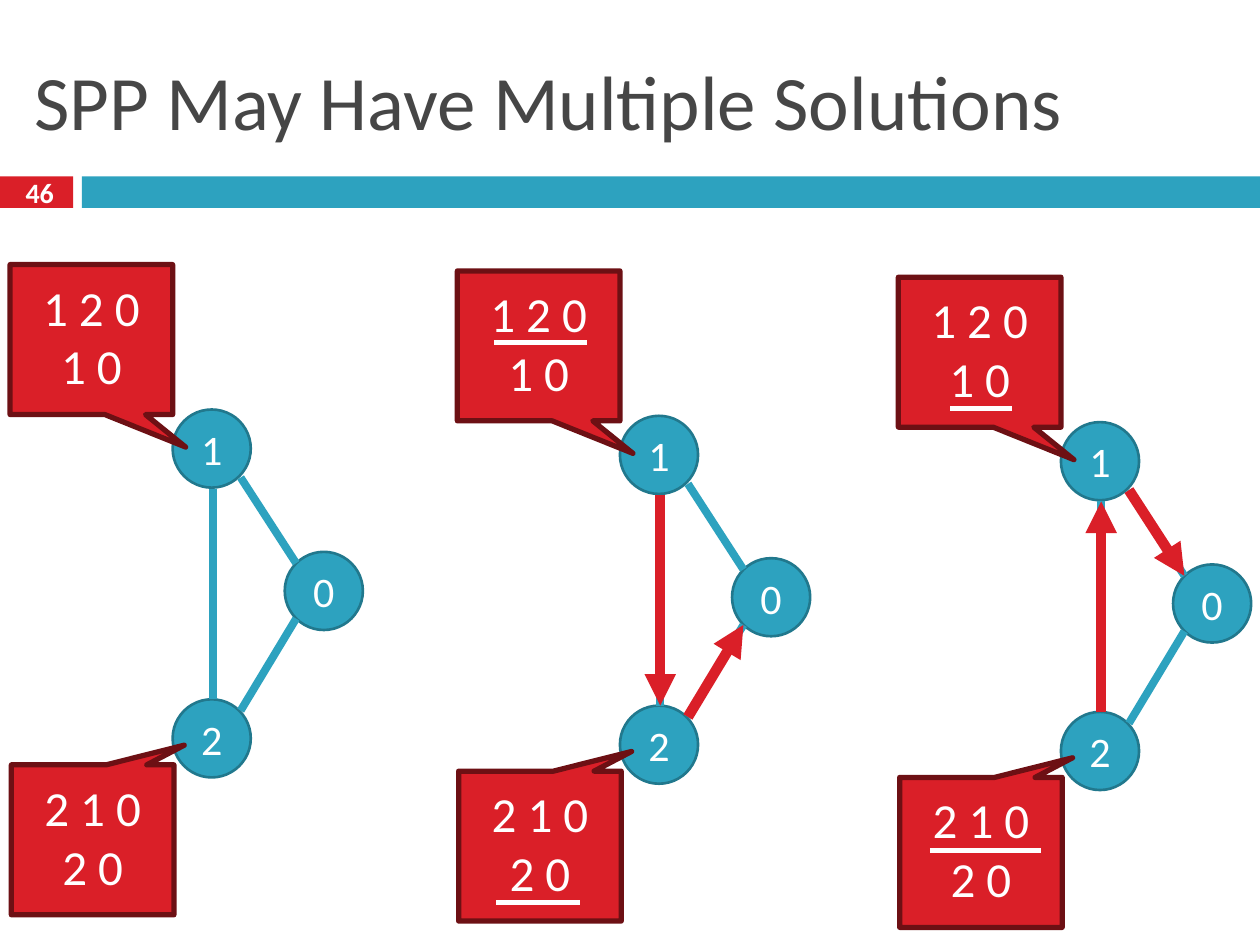
from dataclasses import dataclass

from lxml import etree
from pptx import Presentation
from pptx import util as u
from pptx.dml.color import RGBColor
from pptx.enum import shapes, text
from pptx.oxml.ns import qn

RED, DARK_RED = "DA1F28", "6D1014"
TEAL, DARK_TEAL = "2DA2BF", "21788D"
WHITE, GRAY = "FFFFFF", "464646"
NODE_SIZE = 0.62
CALLOUT_WIDTH, CALLOUT_HEIGHT = 1.29, 1.19

Point = tuple[float, float]


@dataclass
class Node:
    label: str
    left: float
    top: float


@dataclass
class Callout:
    routes: tuple[str, str]
    left: float
    top: float
    tip: Point


@dataclass
class Panel:
    left: float
    top: float
    arrows: list[tuple[str, str]]
    underlines: list[tuple[float, float, float]]  # start x, end x, y


# Graph parts, relative to the panel's corner
NODES = [Node("0", 2.26, 4.38), Node("1", 1.37, 3.25), Node("2", 1.37, 5.55)]
EDGES: dict[tuple[str, str], tuple[Point, Point]] = {
    ("1", "0"): ((1.91, 3.79), (2.35, 4.47)),
    ("1", "2"): ((1.69, 3.88), (1.69, 5.55)),
    ("2", "0"): ((1.91, 5.64), (2.35, 4.91)),
}
CALLOUTS = [
    Callout(("1 2 0", "1 0"), 0.08, 2.1, (0.58, 0.717)),
    Callout(("2 1 0", "2 0"), 0.09, 6.07, (0.564, -0.631)),
]
PANELS = [
    Panel(0, 0, [], []),
    Panel(3.55, 0.05, [("1", "2"), ("2", "0")],
          [(3.92, 4.66, 2.72), (3.94, 4.6, 7.16)]),
    Panel(7.05, 0.1, [("2", "1"), ("1", "0")],
          [(7.54, 8.03, 3.24), (7.38, 8.26, 6.75)]),
]


def color(value: str) -> RGBColor:
    return RGBColor.from_string(value)


def add_text(para, words: str, size: float, fill: str, bold: bool = False,
             align=text.PP_ALIGN.CENTER) -> None:
    para.alignment = align
    span = para.add_run()
    span.text = words
    span.font.name = "Calibri"
    span.font.size = u.Pt(size)
    span.font.bold = bold
    span.font.color.rgb = color(fill)


def add_box(parent, kind, left: float, top: float, width: float, height: float,
            fill: str, outline: str = "", weight: float = 0):
    box = parent.add_shape(kind, u.Inches(left), u.Inches(top),
                           u.Inches(width), u.Inches(height))
    box.shadow.inherit = False
    box.fill.solid()
    box.fill.fore_color.rgb = color(fill)
    if outline:
        box.line.color.rgb = color(outline)
        box.line.width = u.Pt(weight)
    else:
        box.line.fill.background()
    return box


def add_line(page, start: Point, end: Point, stroke: str, weight: float,
             arrow: bool = False) -> None:
    line = page.shapes.add_connector(
        shapes.MSO_CONNECTOR.STRAIGHT,
        *(u.Inches(value) for value in (*start, *end)))
    line.line.color.rgb = color(stroke)
    line.line.width = u.Pt(weight)
    if arrow:
        etree.SubElement(line.line._get_or_add_ln(), qn("a:tailEnd"), type="triangle")
    etree.SubElement(line._element.spPr, qn("a:effectLst"))


def add_node(page, node: Node, panel: Panel) -> None:
    circle = add_box(page.shapes, shapes.MSO_SHAPE.OVAL, panel.left + node.left,
                     panel.top + node.top, NODE_SIZE, NODE_SIZE, TEAL, DARK_TEAL, 1.5)
    frame = circle.text_frame
    frame.vertical_anchor = text.MSO_ANCHOR.MIDDLE
    add_text(frame.paragraphs[0], node.label, 24, WHITE)


def add_callout(page, callout: Callout, panel: Panel) -> None:
    left, top = panel.left + callout.left, panel.top + callout.top
    group = page.shapes.add_group_shape()
    bubble = add_box(group.shapes, shapes.MSO_SHAPE.RECTANGULAR_CALLOUT, left, top,
                     CALLOUT_WIDTH, CALLOUT_HEIGHT, RED, DARK_RED, 3)
    for index, value in enumerate(callout.tip):
        bubble.adjustments[index] = value
    label = group.shapes.add_textbox(u.Inches(left), u.Inches(top + 0.05),
                                     u.Inches(CALLOUT_WIDTH), u.Inches(1.04))
    frame = label.text_frame
    frame.word_wrap = True
    first, second = callout.routes
    add_text(frame.paragraphs[0], first, 28, WHITE)
    add_text(frame.add_paragraph(), second, 28, WHITE)


def add_panel(page, panel: Panel) -> None:
    def place(point: Point) -> Point:
        return panel.left + point[0], panel.top + point[1]

    for node in NODES:
        add_node(page, node, panel)
    for start, end in EDGES.values():
        add_line(page, place(start), place(end), TEAL, 4.5)
    for callout in CALLOUTS:
        add_callout(page, callout, panel)
    # Chosen routes
    for source, target in panel.arrows:
        if (source, target) in EDGES:
            start, end = EDGES[source, target]
        else:
            end, start = EDGES[target, source]
        add_line(page, place(start), place(end), RED, 6, arrow=True)
    for start_x, end_x, y in panel.underlines:
        add_line(page, (start_x, y), (end_x, y), WHITE, 3)


def add_header(page) -> None:
    # Colour bars and slide number
    add_box(page.shapes, shapes.MSO_SHAPE.RECTANGLE, 0, 1.4, 0.58, 0.25, RED)
    add_box(page.shapes, shapes.MSO_SHAPE.RECTANGLE, 0.65, 1.4, 9.35, 0.25, TEAL)
    number = page.shapes.add_textbox(u.Inches(-0.01), u.Inches(1.38),
                                     u.Inches(0.65), u.Inches(0.29))
    frame = number.text_frame
    frame.word_wrap = True
    frame.margin_top = frame.margin_bottom = 0
    frame.vertical_anchor = text.MSO_ANCHOR.MIDDLE
    add_text(frame.paragraphs[0], "46", 16, WHITE, bold=True)

    # Title
    title = page.shapes.title
    title.left, title.top = u.Inches(0.17), u.Inches(0.25)
    title.width, title.height = u.Inches(9.67), u.Inches(1.08)
    title.text_frame.vertical_anchor = text.MSO_ANCHOR.MIDDLE
    add_text(title.text_frame.paragraphs[0], "SPP May Have Multiple Solutions",
             44, GRAY, align=text.PP_ALIGN.LEFT)


def main() -> None:
    deck = Presentation()
    deck.slide_width, deck.slide_height = u.Inches(10), u.Inches(7.5)
    page = deck.slides.add_slide(deck.slide_layouts.get_by_name("Title Only"))
    add_header(page)
    for panel in PANELS:
        add_panel(page, panel)
    deck.save("out.pptx")


if __name__ == "__main__":
    main()
